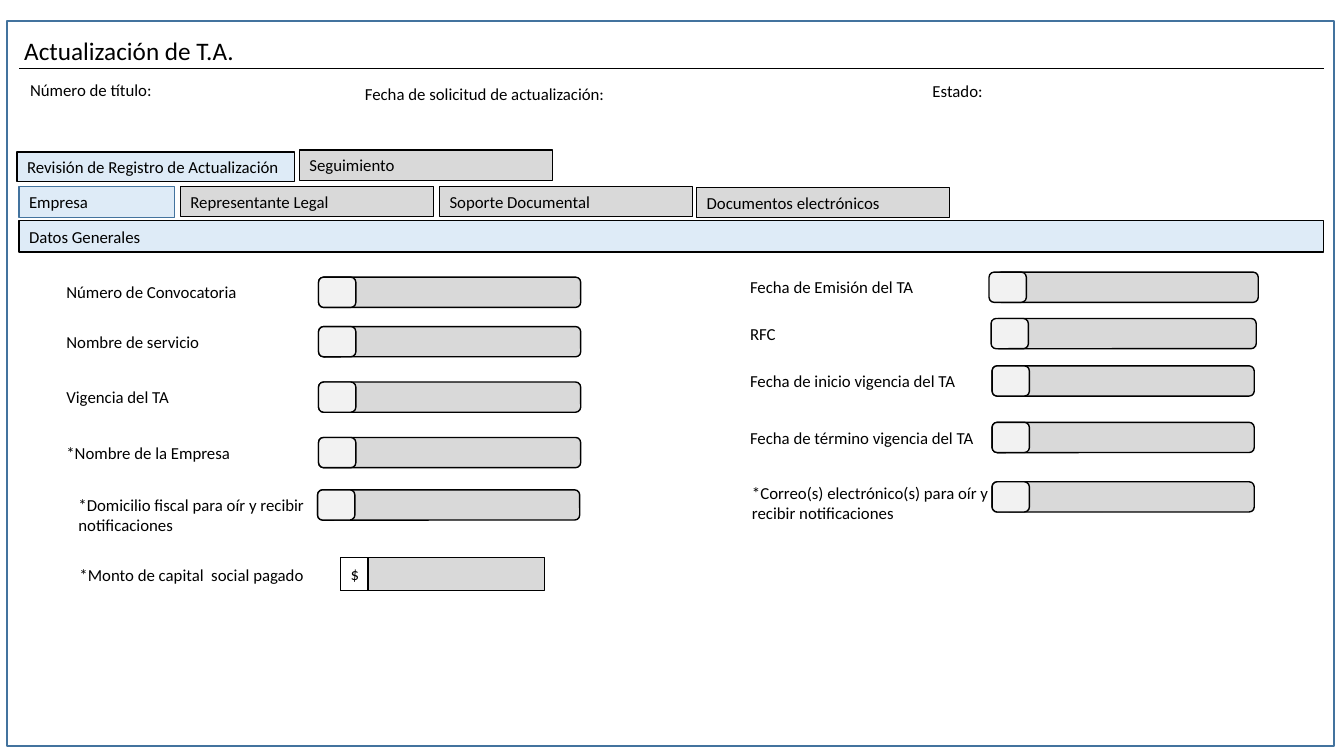
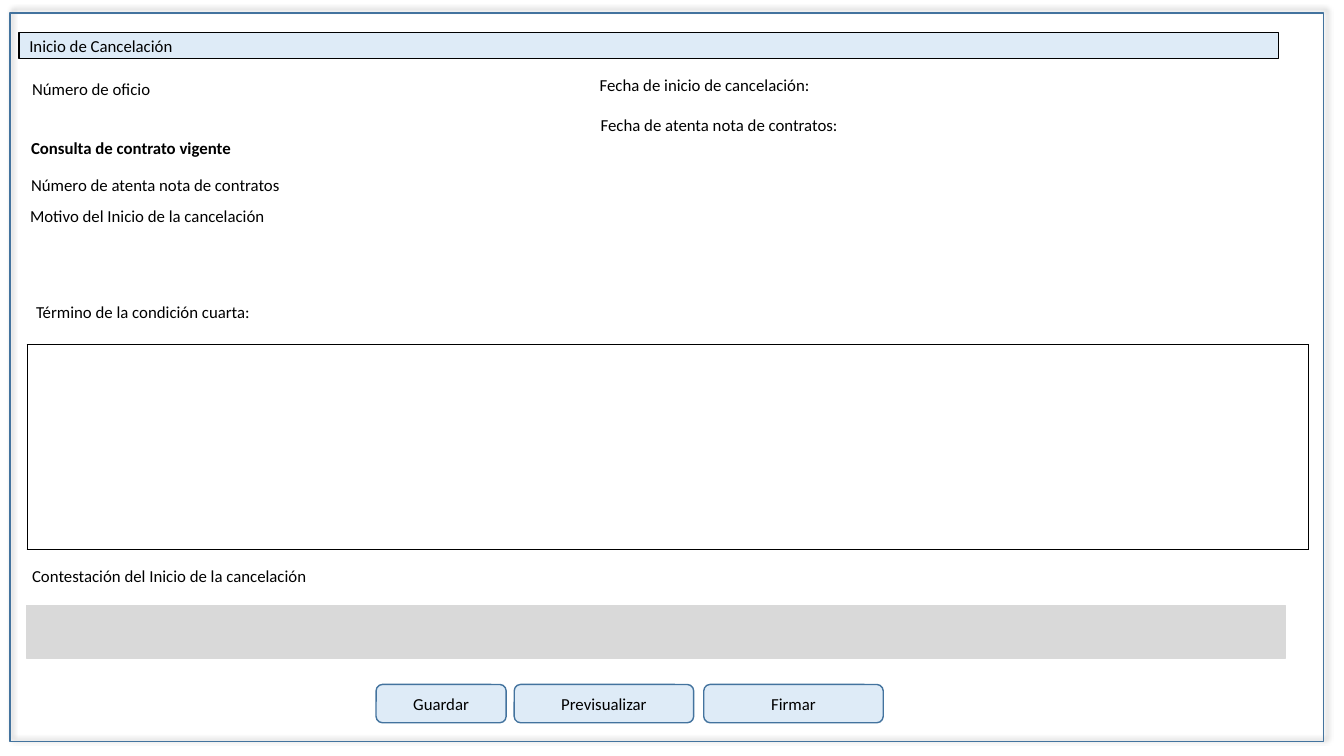
"""Build two form screens: the T.A. update and the start of a cancellation."""
from dataclasses import dataclass
from typing import Optional

from lxml import etree
from pptx import Presentation
from pptx.dml.color import RGBColor
from pptx.enum import shapes, text
from pptx.oxml import ns
from pptx.util import Inches, Pt

BLACK = RGBColor(0x00, 0x00, 0x00)
WHITE = RGBColor(0xFF, 0xFF, 0xFF)
BLUE = RGBColor(0x43, 0x73, 0x9E)
PALE_BLUE = RGBColor(0xDE, 0xEB, 0xF7)
GREY = RGBColor(0xD9, 0xD9, 0xD9)
PALE_GREY = RGBColor(0xF2, 0xF2, 0xF2)

FONT = "Calibri"
RECT = shapes.MSO_SHAPE.RECTANGLE
ROUNDED = shapes.MSO_SHAPE.ROUNDED_RECTANGLE
LEFT, CENTER = text.PP_ALIGN.LEFT, text.PP_ALIGN.CENTER
TOP, MIDDLE = text.MSO_ANCHOR.TOP, text.MSO_ANCHOR.MIDDLE
TITLE_ONLY = 5
FIELD_WIDTH, FIELD_HEIGHT, CAP_WIDTH = 2.6, 0.3, 0.37


@dataclass(frozen=True)
class Area:
    """A rectangle on the slide, in inches."""
    left: float
    top: float
    width: float
    height: float = 0.3

    def lengths(self) -> list:
        """Return the four sides as lengths."""
        return [Inches(side) for side in (self.left, self.top, self.width, self.height)]


@dataclass(frozen=True)
class Label:
    """A plain caption."""
    words: str
    area: Area
    bold: bool = False


@dataclass(frozen=True)
class Box:
    """A bordered box, with or without words."""
    area: Area
    words: str = ""
    fill: Optional[RGBColor] = GREY
    line: RGBColor = BLACK
    kind: shapes.MSO_SHAPE = RECT
    align: text.PP_ALIGN = LEFT


@dataclass(frozen=True)
class Field:
    """A captioned entry field whose body may start right of its cap."""
    label: Label
    left: float
    top: float
    body_shift: float = 0


def write(frame, words: str, size: int = 12, bold: bool = False,
          align: text.PP_ALIGN = LEFT, anchor: text.MSO_ANCHOR = TOP) -> None:
    """Fill a text frame with one formatted paragraph."""
    frame.word_wrap = True
    frame.vertical_anchor = anchor
    frame.text = words
    paragraph = frame.paragraphs[0]
    paragraph.alignment = align
    paragraph.font.name = FONT
    paragraph.font.size = Pt(size)
    paragraph.font.bold = bold
    paragraph.font.color.rgb = BLACK


def add_label(slide, label: Label) -> None:
    """Draw a caption."""
    write(slide.shapes.add_textbox(*label.area.lengths()).text_frame, label.words, bold=label.bold)


def add_box(slide, box: Box):
    """Draw a box and return its shape."""
    shape = slide.shapes.add_shape(box.kind, *box.area.lengths())
    shape.shadow.inherit = False
    if box.fill is None:
        shape.fill.background()
    else:
        shape.fill.solid()
        shape.fill.fore_color.rgb = box.fill
    shape.line.color.rgb = box.line
    shape.line.width = Pt(1)
    if box.words:
        write(shape.text_frame, box.words, align=box.align, anchor=MIDDLE)
    return shape


def add_field(slide, field: Field) -> None:
    """Draw an entry field with its cap and caption."""
    body = Area(field.left + field.body_shift, field.top, FIELD_WIDTH, FIELD_HEIGHT)
    cap = Area(field.left, field.top, CAP_WIDTH, FIELD_HEIGHT)
    add_box(slide, Box(body, kind=ROUNDED))
    add_box(slide, Box(cap, fill=PALE_GREY, kind=ROUNDED))
    add_label(slide, field.label)


def set_title(slide, words: str, area: Area, size: int, anchor: text.MSO_ANCHOR):
    """Place and format the title placeholder and return it."""
    title = slide.shapes.title
    title.left, title.top, title.width, title.height = area.lengths()
    write(title.text_frame, words, size=size, anchor=anchor)
    title.text_frame.auto_size = text.MSO_AUTO_SIZE.NONE
    return title


def add_rule(slide, left: float, right: float, top: float) -> None:
    """Draw a thin horizontal line."""
    rule = slide.shapes.add_connector(shapes.MSO_CONNECTOR.STRAIGHT, Inches(left), Inches(top),
                                      Inches(right), Inches(top))
    rule.line.color.rgb = BLACK
    rule.line.width = Pt(0.5)
    etree.SubElement(rule._element.spPr, ns.qn("a:effectLst"))


def add_shadow(shape) -> None:
    """Give a shape a soft shadow towards the upper right."""
    effects = shape._element.spPr.find(ns.qn("a:effectLst"))
    shadow = etree.SubElement(effects, ns.qn("a:outerShdw"), blurRad=str(Pt(4)), dist=str(Pt(3)),
                              dir=str(315 * 60000), algn="bl", rotWithShape="0")
    color = etree.SubElement(shadow, ns.qn("a:srgbClr"), val=str(BLACK))
    etree.SubElement(color, ns.qn("a:alpha"), val="40000")


def add_empty_table(slide, area: Area) -> None:
    """Draw a one-cell table with a black border."""
    table = slide.shapes.add_table(1, 1, *area.lengths()).table
    table.first_row = table.horz_banding = False
    cell = table.cell(0, 0)
    properties = cell._tc.get_or_add_tcPr()
    for side in ("lnL", "lnR", "lnT", "lnB"):
        border = etree.SubElement(properties, ns.qn(f"a:{side}"), w=str(Pt(1)))
        fill = etree.SubElement(border, ns.qn("a:solidFill"))
        etree.SubElement(fill, ns.qn("a:srgbClr"), val=str(BLACK))
    cell.fill.background()


def left_field(words: str, top: float) -> Field:
    """Describe a field of the left column."""
    return Field(Label(words, Area(0.56, top, 3.59)), 3.16, top)


def right_field(words: str, top: float, left: float = 9.84, shift: float = 0) -> Field:
    """Describe a field of the right column."""
    return Field(Label(words, Area(7.34, top, 3.59)), left, top, shift)


UPDATE_LABELS = (
    Label("Número de título:", Area(0.2, 0.74, 3.18)),
    Label("Fecha de solicitud de actualización:", Area(3.52, 0.78, 3.07)),
    Label("Estado:", Area(9.15, 0.75, 2.12)),
    Label("*Monto de capital  social pagado", Area(0.69, 5.55, 3.37)),
)
UPDATE_BOXES = (
    Box(Area(0.19, 2.19, 12.94, 0.31), "Datos Generales", PALE_BLUE),
    Box(Area(0.19, 1.85, 1.54, 0.31), "Empresa", PALE_BLUE, BLUE),
    Box(Area(0.17, 1.51, 2.75, 0.29), "Revisión de Registro de Actualización", PALE_BLUE),
    Box(Area(2.97, 1.49, 2.51), "Seguimiento"),
    Box(Area(1.79, 1.85, 2.51), "Representante Legal"),
    Box(Area(4.36, 1.85, 2.51), "Soporte Documental"),
    Box(Area(6.91, 1.86, 2.51), "Documentos electrónicos"),
    Box(Area(3.38, 5.53, 2.02, 0.33)),
    Box(Area(3.38, 5.53, 0.27, 0.33), "$", WHITE, align=CENTER),
)
UPDATE_FIELDS = (
    left_field("Número de Convocatoria", 2.75),
    left_field("Nombre de servicio", 3.24),
    left_field("Vigencia del TA", 3.79),
    left_field("*Nombre de la Empresa", 4.34),
    Field(Label("*Domicilio fiscal para oír y recibir notificaciones", Area(0.68, 4.86, 3.26, 0.5)),
          3.15, 4.86),
    right_field("Fecha de Emisión del TA", 2.7, 9.81, 0.07),
    right_field("RFC", 3.16, 9.83, 0.03),
    right_field("Fecha de inicio vigencia del TA", 3.63),
    right_field("Fecha de término vigencia del TA", 4.19),
    Field(Label("*Correo(s) electrónico(s) para oír y recibir notificaciones",
                Area(7.36, 4.74, 2.89, 0.5)), 9.84, 4.78),
)
CANCEL_LABELS = (
    Label("Número de oficio", Area(0.22, 0.73, 3.37)),
    Label("Fecha de inicio de cancelación:", Area(5.85, 0.69, 3.37)),
    Label("Fecha de atenta nota de contratos:", Area(5.86, 1.09, 3.37)),
    Label("Consulta de contrato vigente", Area(0.21, 1.32, 3.37), bold=True),
    Label("Número de atenta nota de contratos", Area(0.21, 1.68, 3.37)),
    Label("Motivo del Inicio de la cancelación", Area(0.2, 1.99, 4)),
    Label("Término de la condición cuarta:", Area(0.26, 2.94, 4)),
    Label("Contestación del Inicio de la cancelación", Area(0.22, 5.56, 4)),
)
BUTTONS = (("Guardar", 3.73, 1.29), ("Previsualizar", 5.1, 1.78), ("Firmar", 6.98, 1.78))


def build_update(slide) -> None:
    """Build the update form."""
    add_box(slide, Box(Area(0.07, 0.21, 13.16, 7.19), fill=None, line=BLUE))
    set_title(slide, "Actualización de T.A.", Area(0.14, 0.3, 5.11, 0.4), 18, TOP)
    add_rule(slide, 0.19, 13.13, 0.68)
    for box in UPDATE_BOXES:
        add_box(slide, box)
    for label in UPDATE_LABELS:
        add_label(slide, label)
    for field in UPDATE_FIELDS:
        add_field(slide, field)


def build_cancellation(slide) -> None:
    """Build the cancellation form."""
    add_shadow(add_box(slide, Box(Area(0.1, 0.13, 13.03, 7.23), fill=None, line=BLUE)))
    title = set_title(slide, "Inicio de Cancelación", Area(0.19, 0.32, 12.49, 0.26), 12, MIDDLE)
    title.fill.solid()
    title.fill.fore_color.rgb = PALE_BLUE
    title.line.color.rgb = BLACK
    title.line.width = Pt(1)
    for label in CANCEL_LABELS:
        add_label(slide, label)
    add_empty_table(slide, Area(0.27, 3.42, 12.71, 2.03))
    add_box(slide, Box(Area(0.26, 6.01, 12.49, 0.52), line=GREY))
    for words, left, width in BUTTONS:
        add_box(slide, Box(Area(left, 6.79, width, 0.38), words, PALE_BLUE, BLUE, ROUNDED, CENTER))


def main() -> None:
    """Build and save the presentation."""
    deck = Presentation()
    deck.slide_width, deck.slide_height = Inches(13.33), Inches(7.5)
    for build in (build_update, build_cancellation):
        build(deck.slides.add_slide(deck.slide_layouts[TITLE_ONLY]))
    deck.save("out.pptx")


if __name__ == "__main__":
    main()
